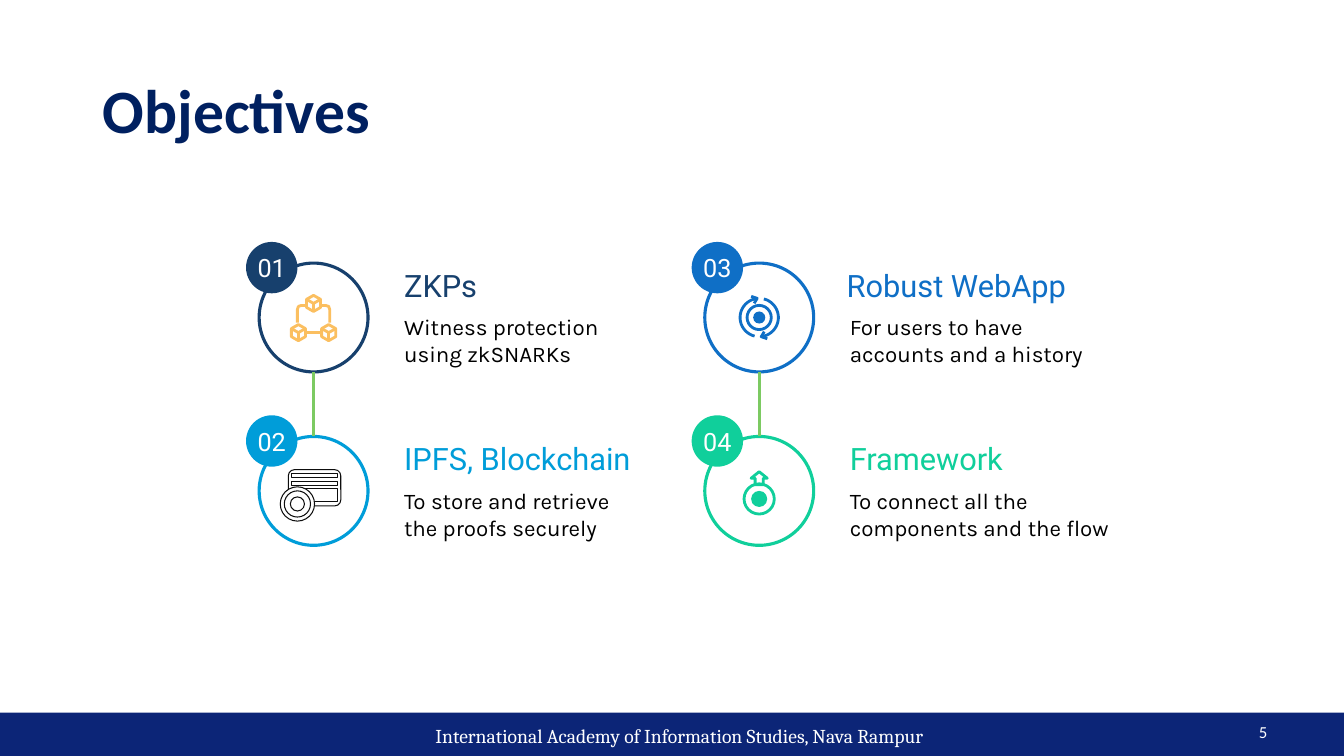
from math import cos, sin, radians
from lxml.etree import SubElement
from pptx import Presentation
from pptx.dml.color import RGBColor
from pptx.enum.shapes import MSO_CONNECTOR as Link, MSO_SHAPE as Kind
from pptx.enum.text import MSO_ANCHOR as Anchor, PP_ALIGN as Align
from pptx.oxml.ns import qn
from pptx.util import Inches, Pt

TITLE = "Objectives"
FOOTER = "International Academy of Information Studies, Nava Rampur"
PAGE = "5"
# number, heading, body, colour, column, row, heading shift, body width
GOALS = [
    ("01", "ZKPs", "Witness protection using zkSNARKs", "17406D", 0, 0, 0, 2.56),
    ("02", "IPFS, Blockchain", "To store and retrieve the proofs securely",
     "009DD9", 0, 1, 0, 2.56),
    ("03", "Robust WebApp", "For users to have accounts and a history",
     "0F6FC6", 1, 0, -0.03, 2.56),
    ("04", "Framework", "To connect all the components and the flow",
     "10CF9B", 1, 1, 0, 2.8),
]
NAVY, WHITE, BLACK = "0C2577", "FFFFFF", "000000"
GOLD, GREEN, INK = "FBBF60", "7CCA62", "0D0D0D"
BLUE, MINT = GOALS[2][3], GOALS[3][3]
LEFT, TOP, COL, ROW = 2.57, 2.61, 4.42, 1.72
RING, BADGE = 1.08, 0.51

deck = Presentation()
deck.slide_width, deck.slide_height = Inches(13.33), Inches(7.5)
slide = deck.slides.add_slide(deck.slide_layouts[6])
shapes = slide.shapes


def rgb(code):
    return RGBColor.from_string(code)


def style(shape, fill=None, line=None, width=1.0):
    shape.shadow.inherit = False
    if fill:
        shape.fill.solid()
        shape.fill.fore_color.rgb = rgb(fill)
    else:
        shape.fill.background()
    if line:
        shape.line.color.rgb = rgb(line)
        shape.line.width = Pt(width)
    else:
        shape.line.fill.background()
    return shape


def draw(kind, x, y, w, h, **look):
    box = [Inches(v) for v in (x, y, w, h)]
    return style(shapes.add_shape(kind, *box), **look)


def disc(x, y, r, **look):
    """Draw a circle around the centre x, y."""
    return draw(Kind.OVAL, x - r, y - r, 2 * r, 2 * r, **look)


def trace(paths, color, width):
    """Draw open strokes, each a list of points, as one outline."""
    build = None
    for path in paths:
        pts = [(Inches(x), Inches(y)) for x, y in path]
        if build is None:
            build = shapes.build_freeform(*pts[0], scale=1.0)
        else:
            build.move_to(*pts[0])
        build.add_line_segments(pts[1:], close=False)
    return style(build.convert_to_shape(), line=color, width=width)


def write(text, x, y, w, h, size=16, font="Karla", color=BLACK, bold=False,
          align=Align.LEFT, anchor=Anchor.MIDDLE, pad=0.1, space=None):
    frame = shapes.add_textbox(*[Inches(v) for v in (x, y, w, h)]).text_frame
    frame.word_wrap = True
    frame.vertical_anchor = anchor
    frame.margin_left = frame.margin_right = Inches(0.1)
    frame.margin_top = frame.margin_bottom = Inches(pad)
    para = frame.paragraphs[0]
    para.alignment = align
    if space:
        para.line_spacing = space
    run = para.add_run()
    run.text = text
    run.font.size, run.font.name, run.font.bold = Pt(size), font, bold
    run.font.color.rgb = rgb(color)


def join(x, y1, y2):
    line = shapes.add_connector(Link.STRAIGHT, Inches(x), Inches(y1),
                                Inches(x), Inches(y2))
    line.line.color.rgb = rgb(GREEN)
    line.line.width = Pt(2.25)
    SubElement(line._element.spPr, qn("a:effectLst"))


def goal(num, head, body, color, col, row, shift, wide):
    x, y = LEFT + col * COL, TOP + row * ROW
    draw(Kind.OVAL, x, y, RING, RING, line=color, width=2.25)
    draw(Kind.OVAL, x - 0.13, y - 0.21, BADGE, BADGE, fill=color)
    write(num, x - 0.13, y - 0.14, BADGE, 0.37, size=18, font="Roboto",
          color=WHITE, align=Align.CENTER)
    write(head, x + 1.34 + shift, y + 0.04, 2.56, 0.36, size=22,
          font="Roboto", color=color)
    write(body, x + 1.34, y + 0.4, wide, 0.66, anchor=Anchor.TOP)


def cubes(x, y):
    """Three linked cubes."""
    paths = []
    for cx, cy in ((x, y - 0.14), (x - 0.15, y + 0.15), (x + 0.15, y + 0.15)):
        w, h = 0.07, 0.04
        mid = (cx, cy)
        paths += [
            [(cx, cy - 2 * h), (cx + w, cy - h), (cx + w, cy + h),
             (cx, cy + 2 * h), (cx - w, cy + h), (cx - w, cy - h),
             (cx, cy - 2 * h)],
            [(cx - w, cy - h), mid, (cx + w, cy - h)],
            [mid, (cx, cy + 2 * h)],
        ]
    for s in (-1, 1):
        paths.append([(x + s * dx, y + dy) for dx, dy in (
            (0.08, -0.12), (0.12, -0.12), (0.15, -0.11), (0.16, -0.08),
            (0.16, 0.05))])
    paths.append([(x - 0.07, y + 0.15), (x + 0.07, y + 0.15)])
    trace(paths, GOLD, 2)


def cycle(x, y):
    """A coin between two turning arrows."""
    disc(x, y, 0.12, line=BLUE, width=2)
    disc(x, y, 0.06, fill=BLUE)
    arc = [(0.19 * cos(radians(a)), 0.19 * sin(radians(a)))
           for a in range(104, 265, 8)]
    tip = [(-0.08, -0.21), (-0.02, -0.19), (-0.05, -0.14)]
    trace([[(x + s * dx, y + s * dy) for dx, dy in part]
           for s in (1, -1) for part in (arc, tip)], BLUE, 2)


def rise(x, y):
    """A coin with an arrow above it."""
    draw(Kind.UP_ARROW, x - 0.08, y - 0.27, 0.16, 0.13, line=MINT, width=2)
    disc(x, y, 0.15, line=MINT, width=2)
    disc(x, y, 0.08, fill=MINT)


def card(x, y):
    """A bank card behind a coin."""
    look = dict(fill=WHITE, line=INK, width=0.75)
    draw(Kind.ROUNDED_RECTANGLE, x, y, 0.52, 0.36, **look)
    for dy, h in ((0.04, 0.04), (0.12, 0.04), (0.19, 0.13)):
        draw(Kind.RECTANGLE, x + 0.03, y + dy, 0.46, h, **look)
    for r in (0.17, 0.13, 0.07):
        disc(x + 0.09, y + 0.34, r, **look)


draw(Kind.RECTANGLE, 0, 7.07, 13.33, 0.43, fill=NAVY)
write(TITLE, 0.92, 0.4, 10.68, 1.45, size=44, font="Calibri", color="002060",
      bold=True, pad=0.05, space=0.9)
write(PAGE, 10.51, 7.06, 2.16, 0.4, size=12, font="Calibri", color=WHITE,
      align=Align.RIGHT, pad=0.05)
write(FOOTER, 3.13, 7.1, 7.22, 0.4, size=14, font="Cambria", color=WHITE,
      align=Align.CENTER, pad=0.05)
for item in GOALS:
    goal(*item)
mids = [LEFT + c * COL + RING / 2 for c in (0, 1)]
for mid in mids:
    join(mid, TOP + RING, TOP + ROW)
cubes(mids[0], 3.15)
cycle(mids[1], 3.15)
rise(mids[1], 4.95)
card(2.86, 4.66)

deck.save("out.pptx")
